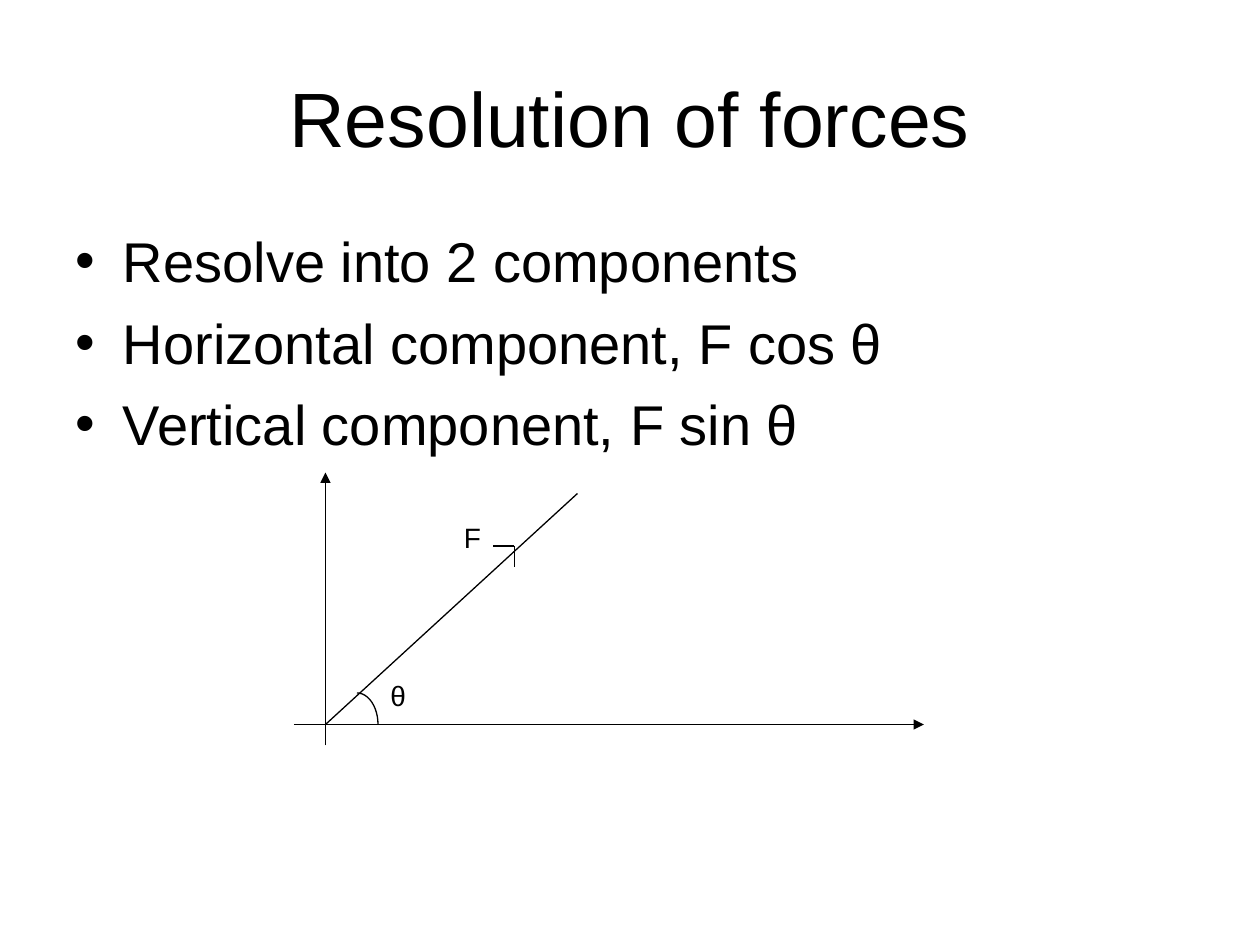
from pptx import Presentation
from pptx.dml.color import RGBColor
from pptx.enum.shapes import MSO_CONNECTOR, MSO_SHAPE
from pptx.enum.text import MSO_ANCHOR, MSO_AUTO_SIZE, PP_ALIGN
from pptx.oxml.ns import qn
from pptx.util import Inches, Pt
from lxml.etree import SubElement

BLACK = RGBColor(0, 0, 0)
WHITE = RGBColor(255, 255, 255)
COLUMNS, ROWS = 120, 90


def write_text(frame, lines, size, align=PP_ALIGN.LEFT, gap=0, anchor=MSO_ANCHOR.TOP):
    """Fill a text frame with one paragraph a line, `gap` points apart."""
    frame.word_wrap = True
    frame.auto_size = MSO_AUTO_SIZE.NONE
    frame.vertical_anchor = anchor
    for index, line in enumerate(lines):
        paragraph = frame.paragraphs[0] if index == 0 else frame.add_paragraph()
        paragraph.alignment = align
        paragraph.space_before = Pt(gap if index else 0)
        run = paragraph.add_run()
        run.text = line
        run.font.name = "Arial"
        run.font.size = Pt(size)
        run.font.color.rgb = BLACK


class ForceSlide:
    """Slide on a grid of 120 columns and 90 rows, with thin black drawing lines."""

    def __init__(self, presentation):
        self.cell_width = presentation.slide_width / COLUMNS
        self.cell_height = presentation.slide_height / ROWS
        self.slide = presentation.slides.add_slide(presentation.slide_layouts[1])
        self.slide.background.fill.solid()
        self.slide.background.fill.fore_color.rgb = WHITE

    def place(self, *cells):
        """Turn alternating columns and rows into lengths."""
        units = (self.cell_width, self.cell_height) * 2
        return [round(cell * unit) for cell, unit in zip(cells, units)]

    def placeholder(self, index, cells, lines, size, **style):
        shape = self.slide.placeholders[index]
        shape.left, shape.top, shape.width, shape.height = self.place(*cells)
        write_text(shape.text_frame, lines, size, **style)

    def label(self, cells, text):
        box = self.slide.shapes.add_textbox(*self.place(*cells))
        write_text(box.text_frame, [text], 16)

    def style_line(self, line):
        line.color.rgb = BLACK
        line.width = Pt(0.75)

    def line(self, start, end, arrow=False):
        connector = self.slide.shapes.add_connector(
            MSO_CONNECTOR.STRAIGHT, *self.place(*start, *end))
        self.style_line(connector.line)
        properties = connector._element.spPr
        if arrow:
            SubElement(properties.find(qn("a:ln")), qn("a:tailEnd"), type="triangle")
        SubElement(properties, qn("a:effectLst"))

    def arc(self, cells):
        shape = self.slide.shapes.add_shape(MSO_SHAPE.ARC, *self.place(*cells))
        shape.shadow.inherit = False
        shape.fill.background()
        self.style_line(shape.line)


def main():
    presentation = Presentation()
    presentation.slide_width = Inches(10)
    presentation.slide_height = Inches(7.5)
    page = ForceSlide(presentation)

    page.placeholder(0, (6, 3.6, 108, 15), ["Resolution of forces"], 44,
                     align=PP_ALIGN.CENTER, anchor=MSO_ANCHOR.MIDDLE)
    page.placeholder(1, (6, 21, 108, 59.4),
                     ["Resolve into 2 components",
                      "Horizontal component, F cos θ",
                      "Vertical component, F sin θ"], 32, gap=8)

    origin = (31, 69)
    page.line((28, 69), (88, 69), arrow=True)
    page.line((31, 71), (31, 45), arrow=True)
    page.line(origin, (55, 47))

    force_tip = (49, 52)
    page.line(force_tip, (47, 52))
    page.line(force_tip, (49, 54))
    page.label((43, 49, 4, 4.4), "F")

    page.arc((32, 66, 4, 6))
    page.label((36, 64, 4, 4.4), "θ")

    presentation.save("out.pptx")


if __name__ == "__main__":
    main()
